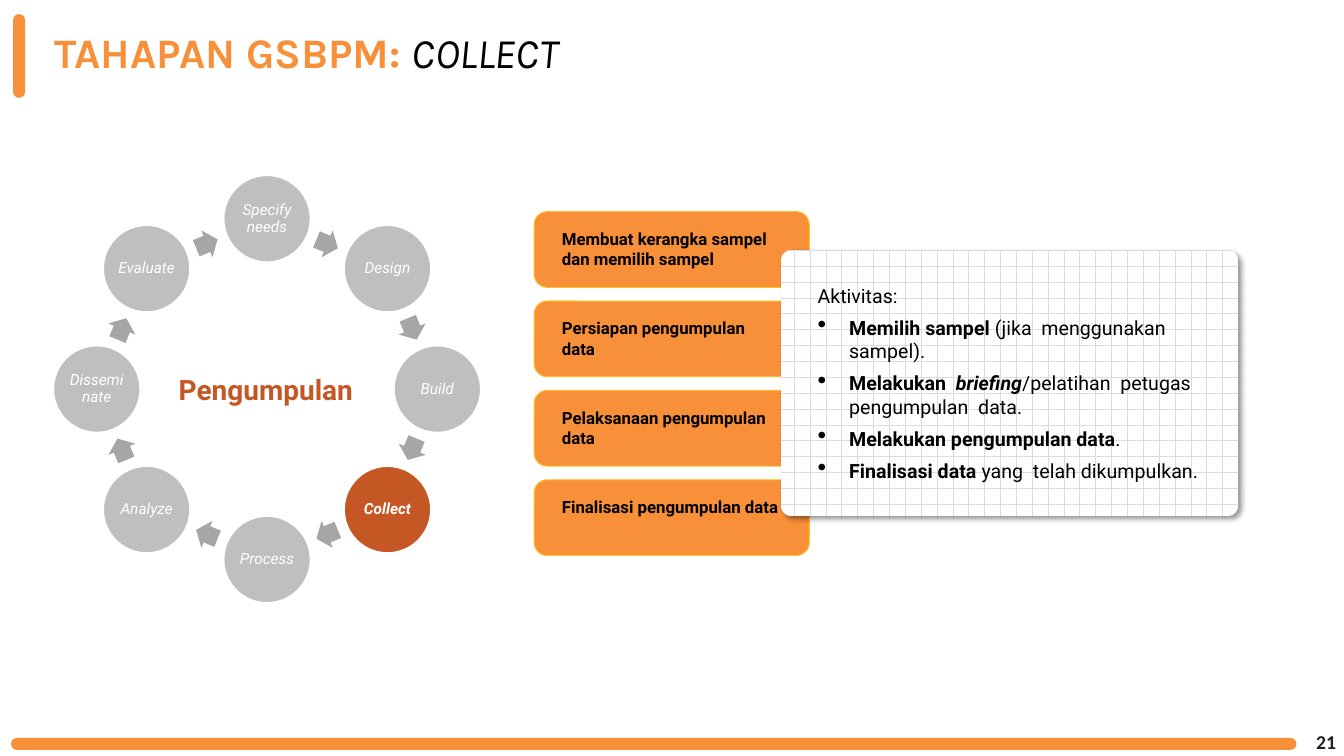
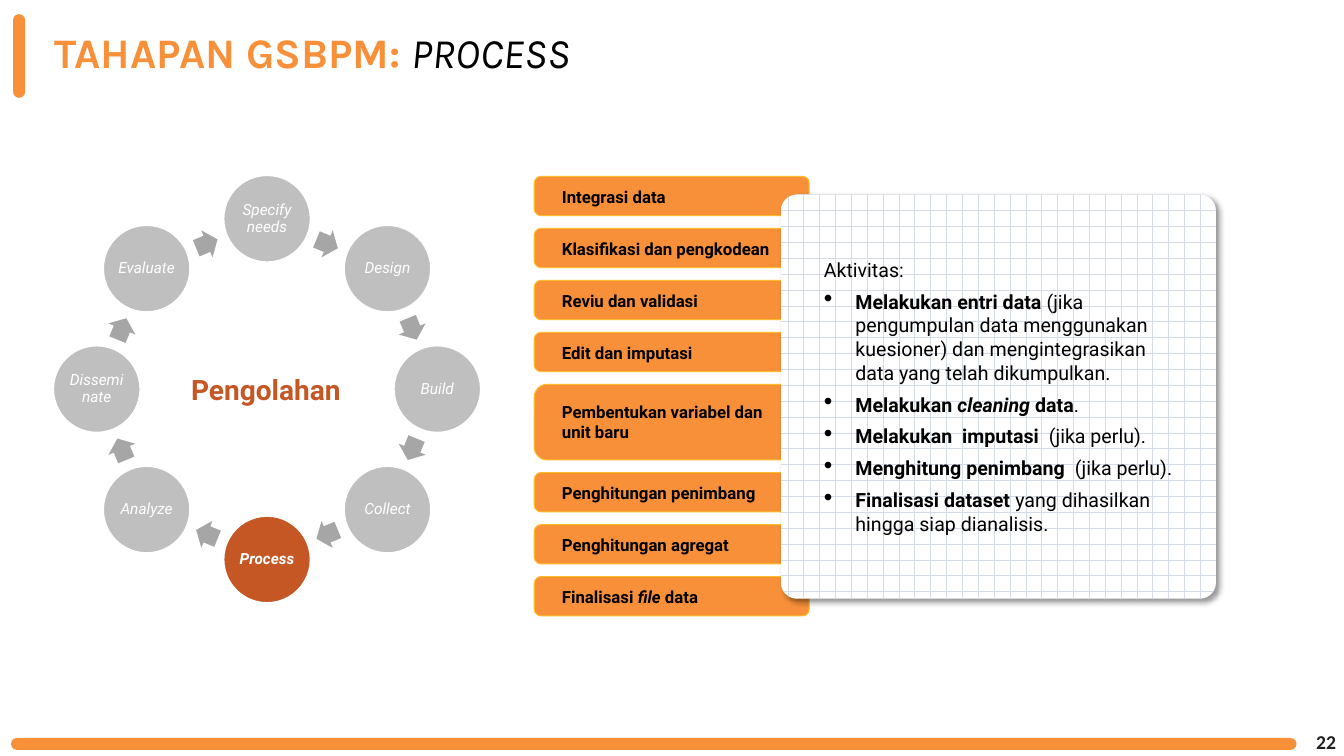
import math

import lxml.etree
import pptx
import pptx.dml.color
import pptx.enum.dml
import pptx.enum.shapes
import pptx.enum.text
import pptx.oxml.ns
import pptx.util

COLOURS = {
    "orange": "F79039", "title": "F89039", "rust": "C55724", "gold": "FEBD26",
    "disc": "BFBFBF", "arrow": "A6A6A6", "grid": "D6DCE5",
    "white": "FFFFFF", "black": "000000", "number": "231F20",
}
RGB = {name: pptx.dml.color.RGBColor.from_string(code) for name, code in COLOURS.items()}
SHAPE = pptx.enum.shapes.MSO_SHAPE
ALIGN = pptx.enum.text.PP_ALIGN
ANCHOR = pptx.enum.text.MSO_ANCHOR
QN = pptx.oxml.ns.qn

deck = pptx.Presentation()
deck.slide_width = pptx.util.Inches(13.34)
deck.slide_height = pptx.util.Inches(7.5)
# One hundred columns and rows across the slide
column = deck.slide_width / 100
row = deck.slide_height / 100


def add_box(page, kind, left, top, width, height, fill=None, line=None, weight=0.75, corner=None):
    """Add a shadowless shape, or a text box when kind is None."""
    place = [round(length) for length in (left, top, width, height)]
    if kind is None:
        return page.shapes.add_textbox(*place)
    box = page.shapes.add_shape(kind, *place)
    box.shadow.inherit = False
    if fill:
        box.fill.solid()
        box.fill.fore_color.rgb = RGB[fill]
    if line:
        box.line.color.rgb = RGB[line]
        box.line.width = pptx.util.Pt(weight)
    else:
        box.line.fill.background()
    if corner is not None:
        box.adjustments[0] = corner
    return box


def write(box, paras, size, colour, font="Roboto", align=ALIGN.LEFT, anchor=ANCHOR.MIDDLE, insets=None):
    """Fill a box with paragraphs of (text, style) spans; b is bold, i italic."""
    frame = box.text_frame
    frame.word_wrap = True
    frame.vertical_anchor = anchor
    if insets:
        sides = ("margin_left", "margin_top", "margin_right", "margin_bottom")
        for side, inset in zip(sides, insets):
            setattr(frame, side, round(inset))
    for index, spans in enumerate(paras):
        para = frame.add_paragraph() if index else frame.paragraphs[0]
        para.alignment = align
        for text, style in spans:
            span = para.add_run()
            span.text = text
            span.font.name = font
            span.font.size = pptx.util.Pt(size)
            span.font.color.rgb = RGB[colour]
            span.font.bold = "b" in style
            span.font.italic = "i" in style
    return frame


PHASES = ["Specify needs", "Design", "Build", "Collect",
          "Process", "Analyze", "Disseminate", "Evaluate"]
TALL = {"height": 10 * row, "text_top": 2.27 * row}
SHORT = {"height": 5.2 * row, "text_top": 1.33 * row}

STEPS = [
    {
        "number": "21", "name": "COLLECT", "phase": "Collect", "label": "Pengumpulan",
        "stage_top": 28, "stage_bottom": 73.47,
        "stages": [
            (TALL, [("Membuat kerangka sampel dan memilih sampel", "b")]),
            (TALL, [("Persiapan pengumpulan data", "b")]),
            (TALL, [("Pelaksanaan pengumpulan data", "b")]),
            (TALL, [("Finalisasi pengumpulan data", "b")]),
        ],
        "card_top": 33.07, "card_width": 34.03, "card_height": 35.2, "card_inset": 2.5,
        "activities": [
            [("Memilih sampel ", "b"), ("(jika  menggunakan sampel).", "")],
            [("Melakukan  ", "b"), ("briefing", "bi"), ("/pelatihan  petugas pengumpulan  data.", "")],
            [("Melakukan pengumpulan data", "b"), (".", "")],
            [("Finalisasi data ", "b"), ("yang  telah dikumpulkan.", "")],
        ],
    },
    {
        "number": "22", "name": "PROCESS", "phase": "Process", "label": "Pengolahan",
        "stage_top": 23.33, "stage_bottom": 81.47,
        "stages": [
            (SHORT, [("Integrasi data", "b")]),
            (SHORT, [("Klasifikasi dan pengkodean", "b")]),
            (SHORT, [("Reviu dan validasi", "b")]),
            (SHORT, [("Edit dan imputasi", "b")]),
            (TALL, [("Pembentukan variabel dan unit baru", "b")]),
            (SHORT, [("Penghitungan penimbang", "b")]),
            (SHORT, [("Penghitungan agregat", "b")]),
            (SHORT, [("Finalisasi ", "b"), ("file ", "bi"), ("data", "b")]),
        ],
        "card_top": 25.73, "card_width": 32.38, "card_height": 53.47, "card_inset": 2.85,
        "activities": [
            [("Melakukan entri data ", "b"),
             ("(jika pengumpulan data menggunakan kuesioner) dan mengintegrasikan "
              "data yang telah dikumpulkan.", "")],
            [("Melakukan ", "b"), ("cleaning", "bi"), (" data", "b"), (".", "")],
            [("Melakukan  imputasi  ", "b"), ("(jika perlu).", "")],
            [("Menghitung penimbang  ", "b"), ("(jika perlu).", "")],
            [("Finalisasi dataset ", "b"), ("yang dihasilkan hingga siap dianalisis.", "")],
        ],
    },
]

for step in STEPS:
    page = deck.slides.add_slide(deck.slide_layouts[6])

    # Bands, page number and title
    add_box(page, SHAPE.ROUNDED_RECTANGLE, 0.82 * column, 97.6 * row, 95.65 * column, 1.6 * row,
            "orange", corner=0.5)
    add_box(page, SHAPE.ROUNDED_RECTANGLE, 0.97 * column, 1.87 * row, 0.9 * column, 11.07 * row,
            "orange", corner=0.5)
    number = add_box(page, None, 96.55 * column, 95.47 * row, 3.6 * column, 5.33 * row)
    write(number, [[(step["number"], "b")]], 14, "number", "Calibri", ALIGN.RIGHT)
    title = add_box(page, None, 3.3 * column, 2.93 * row, 84.71 * column, 7.87 * row)
    frame = write(title, [[("TAHAPAN GSBPM: ", "b"), (step["name"], "i")]], 30, "black", "Karla")
    frame.paragraphs[0].runs[0].font.color.rgb = RGB["title"]

    # Ring of phases, clockwise from the top
    centre_x, centre_y = 19.87 * column, 51.47 * row
    disc = 6.45 * column
    arrow_width, arrow_height = 1.72 * column, 2.17 * column
    turn = 360 / len(PHASES)
    for index, phase in enumerate(PHASES):
        active = phase == step["phase"]
        angle = math.radians(index * turn)
        x = centre_x + 12.67 * column * math.sin(angle)
        y = centre_y - 12.67 * column * math.cos(angle)
        circle = add_box(page, SHAPE.OVAL, x - disc / 2, y - disc / 2, disc, disc,
                         "rust" if active else "disc", "white", 1)
        frame = write(circle, [[(phase, "bi" if active else "i")]], 11, "white",
                      align=ALIGN.CENTER, insets=[0.15 * column] * 4)
        frame.paragraphs[0].line_spacing = 0.9

        heading = (index + 0.5) * turn
        angle = math.radians(heading)
        x = centre_x + 11.69 * column * math.sin(angle)
        y = centre_y - 11.69 * column * math.cos(angle)
        arrow = add_box(page, SHAPE.RIGHT_ARROW, x - arrow_width / 2, y - arrow_height / 2,
                        arrow_width, arrow_height, "arrow", corner=0.6)
        arrow.rotation = heading
    label = add_box(page, None, 10.64 * column, 46.27 * row, 18.29 * column, 10.4 * row)
    write(label, [[(step["label"], "b")]], 20, "rust", align=ALIGN.CENTER)

    # Stages, with equal gaps between them
    stages = step["stages"]
    top = step["stage_top"] * row
    filled = sum(size["height"] for size, spans in stages)
    gap = (step["stage_bottom"] * row - top - filled) / (len(stages) - 1)
    for size, spans in stages:
        height = size["height"]
        stage = add_box(page, SHAPE.ROUNDED_RECTANGLE, 39.75 * column, top, 20.46 * column, height,
                        "orange", "gold", corner=0.17)
        rounding = 0.05 * height
        write(stage, [spans], 12, "black", anchor=ANCHOR.TOP,
              insets=[2.06 * column - rounding, size["text_top"] - rounding, 2.02 * column - rounding, 0])
        top += height + gap

    # Activity card
    card = add_box(page, SHAPE.ROUNDED_RECTANGLE, 58.1 * column, step["card_top"] * row,
                   step["card_width"] * column, step["card_height"] * row, corner=0.04)
    card.fill.patterned()
    card.fill.pattern = pptx.enum.dml.MSO_PATTERN.DOTTED_GRID
    card.fill.fore_color.rgb = RGB["grid"]
    card.fill.back_color.rgb = RGB["white"]
    effects = card._element.spPr.find(QN("a:effectLst"))
    shadow = lxml.etree.SubElement(effects, QN("a:outerShdw"), blurRad=str(pptx.util.Pt(4)),
                                   dist=str(pptx.util.Pt(3)), dir="2700000", algn="tl", rotWithShape="0")
    shade = lxml.etree.SubElement(shadow, QN("a:srgbClr"), val=COLOURS["black"])
    lxml.etree.SubElement(shade, QN("a:alpha"), val="40000")
    inset = step["card_inset"] * column
    frame = write(card, [[("Aktivitas:", "")]] + step["activities"], 14, "black",
                  insets=[inset, 0, inset, 0])
    for index, para in enumerate(frame.paragraphs):
        if index:
            settings = para._p.get_or_add_pPr()
            indent = round(2.35 * column)
            settings.set("marL", str(indent))
            settings.set("indent", str(-indent))
            tint = lxml.etree.SubElement(settings, QN("a:buClr"))
            lxml.etree.SubElement(tint, QN("a:srgbClr"), val=COLOURS["black"])
            lxml.etree.SubElement(settings, QN("a:buSzPct"), val="130000")
            lxml.etree.SubElement(settings, QN("a:buChar"), char="•")
        para.space_after = pptx.util.Pt(6)

deck.save("out.pptx")
